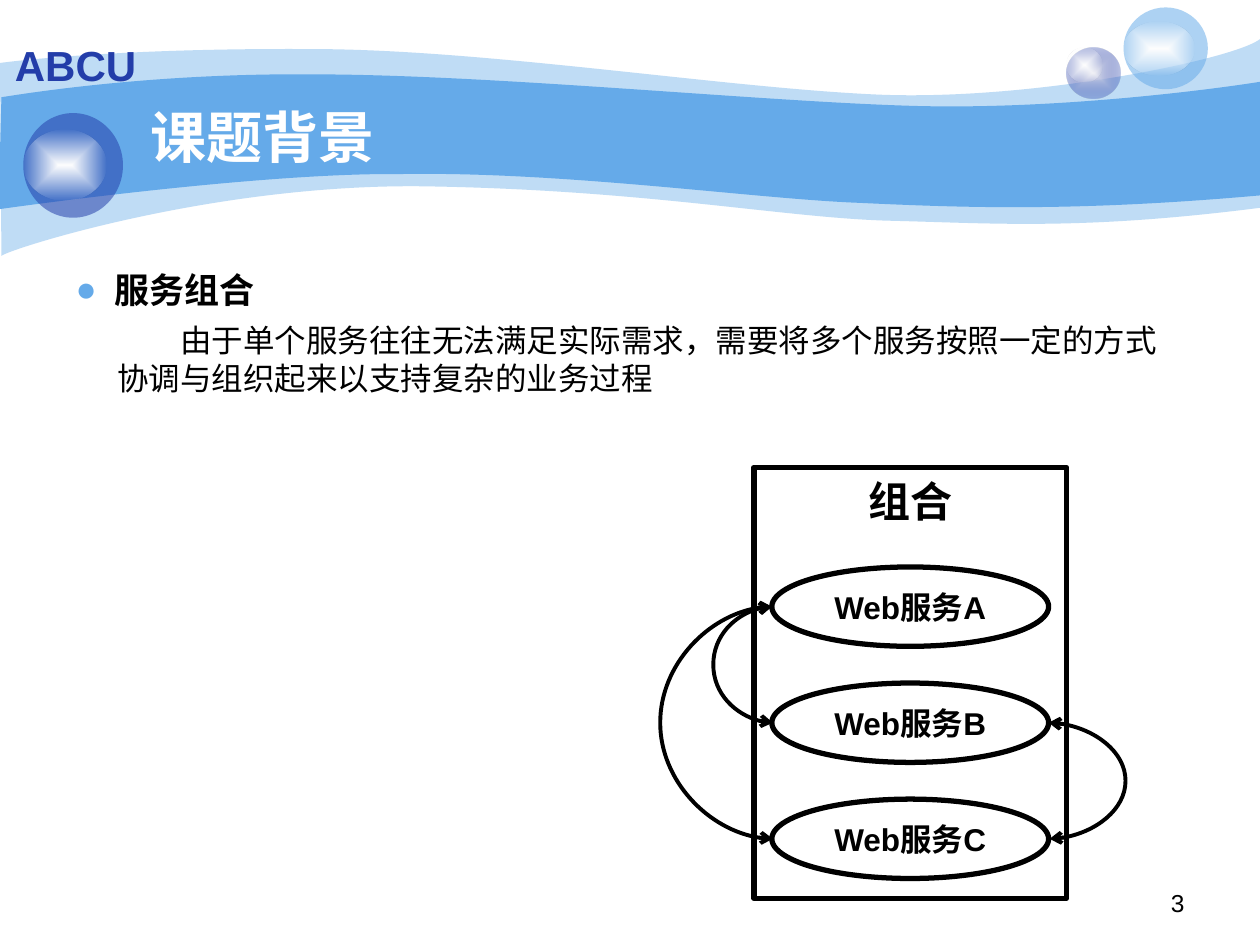
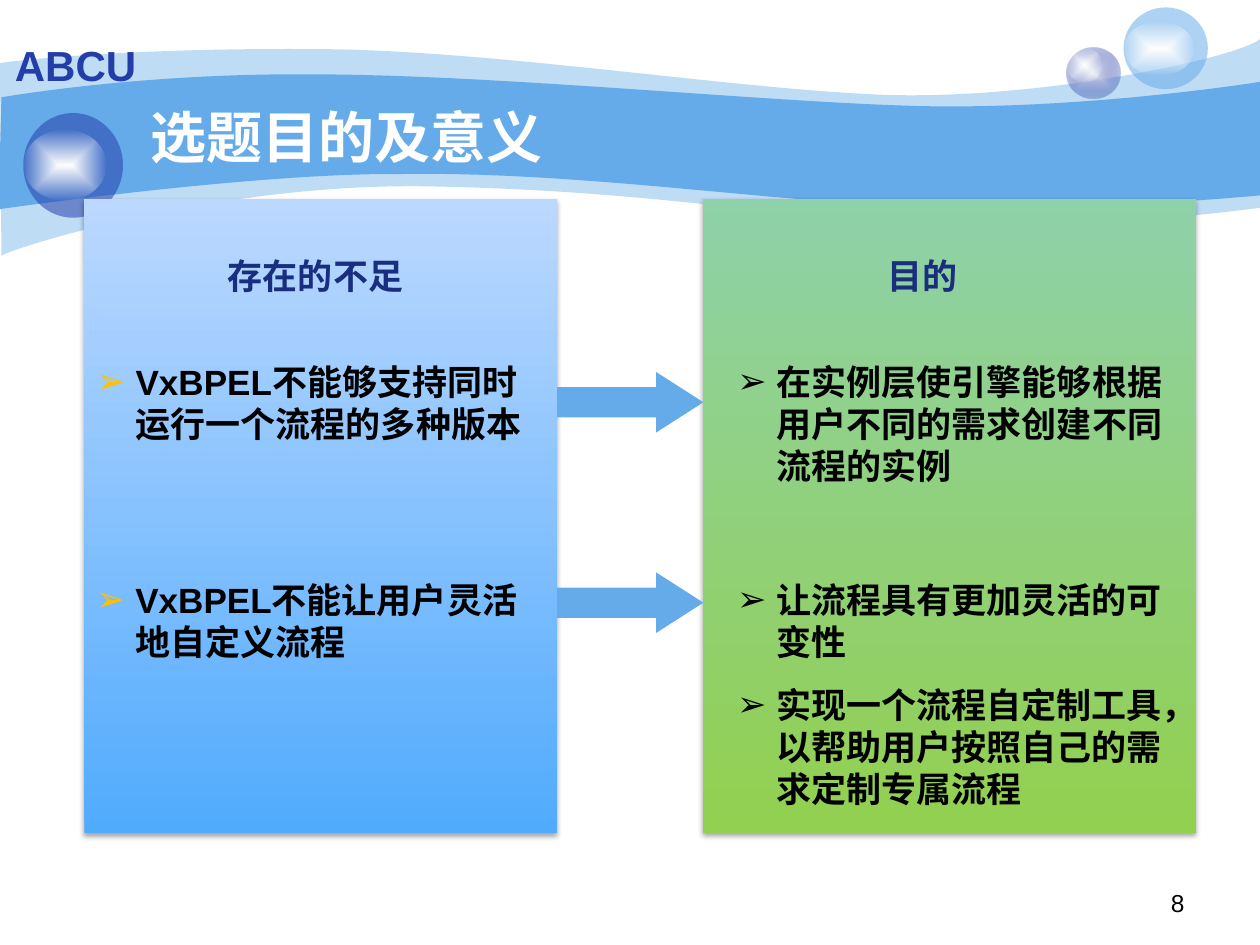
from lxml.etree import SubElement
from pptx import Presentation
from pptx.dml.color import RGBColor
from pptx.enum.shapes import MSO_CONNECTOR, MSO_SHAPE as Preset
from pptx.enum.text import MSO_ANCHOR as Anchor, MSO_AUTO_SIZE as AutoSize, PP_ALIGN as Align
from pptx.oxml.ns import qn
from pptx.util import Cm, Pt

COLORS = {
    "sky": "65AAE9", "royal": "233DA9", "navy": "1A2E7F", "mist": "E1E2ED",
    "white": "FFFFFF", "black": "000000", "amber": "FFC000",
    "blue_bottom": "51ABFD", "blue_top": "BBD8FF",
    "green_bottom": "92D050", "green_top": "8FD1A8",
}
FONT = "Arial"
BULLET_INDENT = 0.79

# Band edges: an anchor, then two control points and an anchor per curve (cm).
PALE_BAND = (
    [(0, 1.27), (0.61, 1.19), (2.74, 0.97), (6.27, 0.99), (9.8, 0.99),
     (14.63, 1.78), (17.75, 1.91), (20.88, 2.03), (24.89, 1.19), (25.4, 0.79)],
    [(25.4, 4.19), (21.79, 4.65), (20.02, 4.5), (17.91, 4.45), (15.8, 4.39),
     (13.08, 3.84), (8.74, 3.76), (4.37, 3.66), (0.1, 5.05), (0.03, 5.16)],
)
BRIGHT_BAND = (
    [(0.03, 1.96), (0.08, 1.96), (2.79, 1.47), (6.3, 1.5), (9.83, 1.5),
     (15.14, 2.03), (18.24, 2.13), (21.36, 2.24), (24.79, 1.75), (25.4, 1.65)],
    [(25.4, 3.94), (21.67, 4.27), (19.46, 4.19), (17.32, 4.09), (15.21, 4.01),
     (11.35, 3.45), (8.05, 3.51), (5.16, 3.48), (-0.05, 4.22), (-0.03, 4.22)],
)


def rgb(name):
    return RGBColor.from_string(COLORS[name])


def box_cm(box):
    return [Cm(value) for value in box]


def add_color(parent, name, alpha=100):
    color = SubElement(parent, qn("a:srgbClr"), val=COLORS[name])
    if alpha < 100:
        SubElement(color, qn("a:alpha"), val=str(alpha * 1000))


def style_shape(shape, fill=None, alpha=100, line=None, width=3):
    shape.shadow.inherit = False
    if fill:
        shape.fill.solid()
        shape.fill.fore_color.rgb = rgb(fill)
        if alpha < 100:
            color = shape.element.spPr.find(".//" + qn("a:srgbClr"))
            SubElement(color, qn("a:alpha"), val=str(alpha * 1000))
    else:
        shape.fill.background()
    if line:
        shape.line.color.rgb = rgb(line)
        shape.line.width = Pt(width)
    else:
        shape.line.fill.background()


def add_preset(slide, preset, box, **style):
    shape = slide.shapes.add_shape(preset, *box_cm(box))
    style_shape(shape, **style)
    return shape


def set_gradient(shape, start, end, end_alpha=100, radial=False):
    """Blend from the centre outwards if radial, else from bottom to top."""
    gradient = shape.element.spPr.find(qn("a:solidFill"))
    gradient.tag = qn("a:gradFill")
    gradient.clear()
    stops = SubElement(gradient, qn("a:gsLst"))
    for position, name, alpha in ((0, start, 100), (100000, end, end_alpha)):
        add_color(SubElement(stops, qn("a:gs"), pos=str(position)), name, alpha)
    if radial:
        shading = SubElement(gradient, qn("a:path"), {"path": "shape"})
        SubElement(shading, qn("a:fillToRect"), l="50000", t="50000", r="50000", b="50000")
    else:
        SubElement(gradient, qn("a:lin"), ang="16200000", scaled="0")


def write(paragraph, text, size, color="black", bold=True, align=Align.LEFT):
    paragraph.alignment = align
    run = paragraph.add_run()
    run.text = text
    run.font.name = FONT
    run.font.size = Pt(size)
    run.font.bold = bold
    run.font.color.rgb = rgb(color)


def set_indent(paragraph, margin, first_line):
    properties = paragraph._p.get_or_add_pPr()
    properties.set("marL", str(Cm(margin)))
    properties.set("indent", str(Cm(first_line)))
    return properties


def set_bullet(paragraph, character, color):
    properties = set_indent(paragraph, BULLET_INDENT, -BULLET_INDENT)
    add_color(SubElement(properties, qn("a:buClr")), color)
    SubElement(properties, qn("a:buFont"), typeface=FONT)
    SubElement(properties, qn("a:buChar"), char=character)


def add_text_frame(slide, box):
    frame = slide.shapes.add_textbox(*box_cm(box)).text_frame
    frame.word_wrap = True
    return frame


def add_label(slide, box, text, size, **style):
    paragraph = add_text_frame(slide, box).paragraphs[0]
    write(paragraph, text, size, **style)
    return paragraph


def place(placeholder, box, anchor=Anchor.TOP):
    """Move a placeholder to the box, in front of what is drawn so far."""
    placeholder.left, placeholder.top, placeholder.width, placeholder.height = box_cm(box)
    placeholder.element.getparent().append(placeholder.element)
    frame = placeholder.text_frame
    frame.auto_size = AutoSize.NONE
    frame.vertical_anchor = anchor
    frame.paragraphs[0].space_before = Pt(0)
    return frame


def add_band(slide, edges, alpha=100):
    """Draw straight lines through all points, then bend each three into a curve."""
    start, *rest = [(Cm(x), Cm(y)) for edge in edges for x, y in edge]
    builder = slide.shapes.build_freeform(*start)
    builder.add_line_segments(rest)
    band = builder.convert_to_shape()
    style_shape(band, fill="sky", alpha=alpha)
    lines = list(band.element.iter(qn("a:lnTo")))
    side = len(edges[0])
    for first in (0, side):
        for i in range(first, first + side - 1, 3):
            curve, *merged = lines[i:i + 3]
            curve.tag = qn("a:cubicBezTo")
            for line in merged:
                curve.append(line[0])
                line.getparent().remove(line)


def add_sphere(slide, box, shine, color, alpha, edge_alpha=None):
    """Draw a ball with a shine; edge_alpha fades the ball from mist to its colour."""
    ball = add_preset(slide, Preset.OVAL, box, fill=color, alpha=alpha)
    if edge_alpha:
        set_gradient(ball, "mist", color, edge_alpha, radial=True)
    glow = add_preset(slide, Preset.OVAL, shine, fill="white")
    set_gradient(glow, "white", "white", 0, radial=True)


def decorate_master(presentation, slide):
    """Draw the shared header on a slide, then move it to the slide master."""
    drawn_before = len(slide.shapes)
    add_band(slide, PALE_BAND, alpha=41)
    add_band(slide, BRIGHT_BAND)
    add_sphere(slide, (21.51, 0.97, 1.07, 1.02), (21.51, 0.97, 0.71, 0.69), "royal", 100, 31)
    add_sphere(slide, (22.65, 0.15, 1.7, 1.65), (22.65, 0.43, 1.42, 1.09), "sky", 53)
    add_sphere(slide, (0.47, 2.28, 2.01, 2.11), (0.47, 2.62, 1.68, 1.42), "royal", 53)
    add_label(slide, (0.05, 0.68, 3, 1.27), "ABCU", 24, color="royal")
    master_tree = presentation.slide_master.shapes.element
    for i, shape in enumerate(list(slide.shapes)[drawn_before:]):
        shape.element.find(".//" + qn("p:cNvPr")).set("id", str(100 + i))
        master_tree.insert(2 + i, shape.element)


def add_title_and_number(slide, title, number):
    frame = place(slide.shapes.title, (2.78, 1.78, 18.85, 1.91), Anchor.MIDDLE)
    write(frame.paragraphs[0], title, 32, color="white")
    add_label(slide, (18.21, 17.78, 5.92, 0.89), number, 14, bold=False, align=Align.RIGHT)


def add_introduction(slide, box):
    left, top, width, height = box
    heading = place(slide.placeholders[1], (left, top, 14.15, 1.12)).paragraphs[0]
    write(heading, "服务组合", 20)
    set_bullet(heading, "●", "sky")
    detail = add_label(slide, (left + 0.84, top + 1.07, width - 0.84, height - 1.07),
                       "由于单个服务往往无法满足实际需求，需要将多个服务按照一定的方式"
                       "协调与组织起来以支持复杂的业务过程", 18, bold=False)
    set_indent(detail, 0, 1.27)


def add_service_link(slide, x, top, bottom, bulge):
    """Join two heights at x by a curve that swings out by bulge (left if negative)."""
    run = 0.02
    link = slide.shapes.add_connector(
        MSO_CONNECTOR.CURVE, Cm(x), Cm(top), Cm(x + run), Cm(bottom))
    link.line.color.rgb = rgb("black")
    link.line.width = Pt(2.25)
    properties = link.element.spPr
    line = properties.find(qn("a:ln"))
    SubElement(line, qn("a:headEnd"), type="arrow")
    SubElement(line, qn("a:tailEnd"), type="arrow")
    SubElement(properties, qn("a:effectLst"))
    adjustments = properties.find(qn("a:prstGeom")).get_or_add_avLst()
    SubElement(adjustments, qn("a:gd"), name="adj1", fmla=f"val {round(bulge / run * 100000)}")


def add_composition(slide, box):
    left, top, width, _ = box
    side, height, pitch = 0.36, 1.6, 2.34
    middles = []
    for i, letter in enumerate("ABC"):
        service_top = top + 2.01 + i * pitch
        service = add_preset(slide, Preset.OVAL,
                             (left + side, service_top, width - 2 * side, height), line="black")
        service.text_frame.vertical_anchor = Anchor.MIDDLE
        write(service.text_frame.paragraphs[0], f"Web服务{letter}", 18, align=Align.CENTER)
        middles.append(service_top + height / 2)
    add_label(slide, (left + 1.46, top + 0.05, 3.4, 1.27), "组合", 24, align=Align.CENTER)
    add_preset(slide, Preset.RECTANGLE, box, line="black")

    first, second, third = middles
    add_service_link(slide, left + side, first, second, -1.18)
    add_service_link(slide, left + width - side, second, third, 1.55)
    add_service_link(slide, left + side, first, third, -2.25)


def add_panel(slide, box, colors):
    panel = add_preset(slide, Preset.RECTANGLE, box, fill=colors[0])
    set_gradient(panel, *colors)
    shadow = SubElement(panel.element.spPr.find(qn("a:effectLst")), qn("a:outerShdw"),
                        blurRad=str(Pt(3.1)), dist=str(Pt(1.8)), dir="5400000", rotWithShape="0")
    add_color(shadow, "black", 35)


def write_points(frame, points, bullet_color):
    for i, text in enumerate(points):
        paragraph = frame.add_paragraph() if i else frame.paragraphs[0]
        paragraph.space_before = Pt(6 if i else 0)
        paragraph.space_after = Pt(6)
        write(paragraph, text, 20)
        set_bullet(paragraph, "➢", bullet_color)


def add_column(slide, box, heading_box, heading, placeholders, first, second, bullet_color):
    """Write a heading, one point beside the upper arrow, and points beside the lower."""
    left, top, width, height = box
    heading_holder, list_holder = placeholders
    heading_frame = place(heading_holder, heading_box)
    write(heading_frame.paragraphs[0], heading, 20, color="navy")
    write_points(place(list_holder, (left, top, width, 2.82)), [first], bullet_color)
    lower = add_text_frame(slide, (left, top + 4.4, width, height - 4.4))
    write_points(lower, second, bullet_color)


def build_background(slide):
    add_title_and_number(slide, "课题背景", "3")
    add_introduction(slide, (1.27, 5.28, 22.63, 2.87))
    add_composition(slide, (15.2, 9.42, 6.3, 8.69))


def build_purpose(slide):
    add_title_and_number(slide, "选题目的及意义", "8")
    add_panel(slide, (1.7, 4.01, 9.53, 12.78), ("blue_bottom", "blue_top"))
    add_panel(slide, (14.17, 4.01, 9.94, 12.79), ("green_bottom", "green_top"))
    holders = slide.placeholders
    add_column(slide, (1.69, 7.13, 9.1, 6.36), (4.34, 5, 4.5, 1.12), "存在的不足",
               (holders[1], holders[2]),
               "VxBPEL不能够支持同时运行一个流程的多种版本",
               ["VxBPEL不能让用户灵活地自定义流程"], "amber")
    add_column(slide, (14.61, 7.13, 9.1, 9.35), (17.64, 5, 2.3, 1.12), "目的",
               (holders[3], holders[4]),
               "在实例层使引擎能够根据用户不同的需求创建不同流程的实例",
               ["让流程具有更加灵活的可变性",
                "实现一个流程自定制工具，以帮助用户按照自己的需求定制专属流程"], "black")
    for arrow_top in (7.5, 11.54):
        arrow = add_preset(slide, Preset.RIGHT_ARROW, (11.23, arrow_top, 2.95, 1.22), fill="sky")
        arrow.adjustments[1] = 0.78


def main():
    presentation = Presentation()
    presentation.slide_width, presentation.slide_height = Cm(25.4), Cm(19.05)
    layouts = presentation.slide_layouts
    background = presentation.slides.add_slide(layouts.get_by_name("Title and Content"))
    decorate_master(presentation, background)
    build_background(background)
    build_purpose(presentation.slides.add_slide(layouts.get_by_name("Comparison")))
    presentation.save("out.pptx")


if __name__ == "__main__":
    main()
